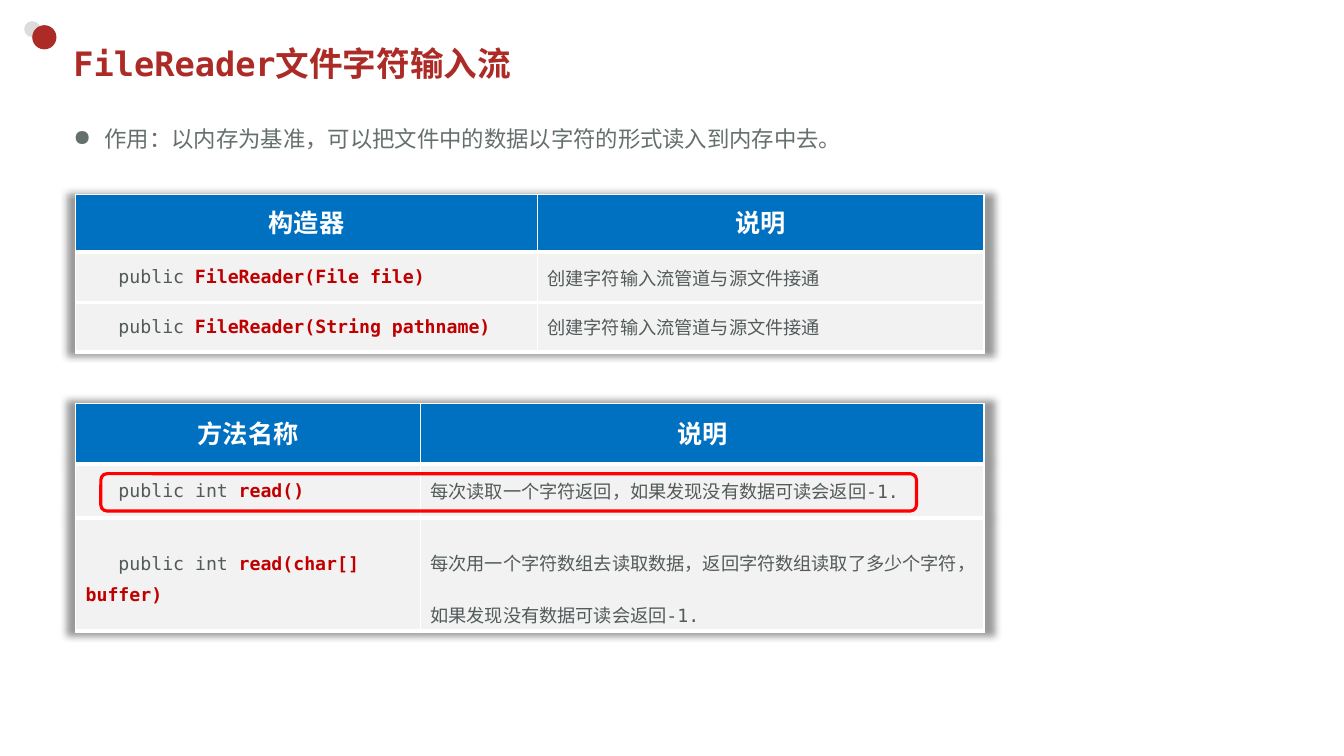
import pptx
import pptx.util
import pptx.dml.color
import pptx.enum.shapes
import pptx.enum.text
import pptx.oxml
import pptx.oxml.ns
import lxml.etree

Inches = pptx.util.Inches
Pt = pptx.util.Pt
SHAPE = pptx.enum.shapes.MSO_SHAPE
ALIGN = pptx.enum.text.PP_ALIGN
MIDDLE = pptx.enum.text.MSO_ANCHOR.MIDDLE
qn = pptx.oxml.ns.qn

CJK, MONO = "Noto Sans CJK JP", "DejaVu Sans Mono"
COLORS = {
    "white": "FFFFFF", "brand": "AD2B26", "dot": "DADDDC", "lead": "65706E",
    "header": "0070C0", "band": "F2F2F2", "body": "525B5A", "code": "C00000",
    "mark": "FF0000",
}


def rgb(name):
    """Return the palette colour with the given name."""
    return pptx.dml.color.RGBColor.from_string(COLORS[name])


def add_text(p, text, size=13, font=MONO, color="body", bold=False):
    """Append a formatted run to a paragraph."""
    r = p.add_run()
    r.text = text
    r.font.size, r.font.name, r.font.bold = Pt(size), font, bold
    r.font.color.rgb = rgb(color)
    lxml.etree.SubElement(r.font._element, qn("a:ea")).set("typeface", CJK)


def add_box(slide, x, y, w, h):
    """Add a wrapping text box and return its first paragraph."""
    tf = slide.shapes.add_textbox(Inches(x), Inches(y), Inches(w), Inches(h)).text_frame
    tf.word_wrap, tf.vertical_anchor = True, MIDDLE
    return tf.paragraphs[0]


def add_shape(slide, kind, x, y, w, h, fill=None, line=None):
    """Add a shape with an optional fill and outline and no shadow."""
    sp = slide.shapes.add_shape(kind, Inches(x), Inches(y), Inches(w), Inches(h))
    sp.shadow.inherit = False
    if fill:
        sp.fill.solid()
        sp.fill.fore_color.rgb = rgb(fill)
    else:
        sp.fill.background()
    if line:
        sp.line.color.rgb = rgb(line)
        sp.line.width = Pt(2.25)
    else:
        sp.line.fill.background()


def add_heading(slide, x, y, w, h):
    """Place the title with its two dots above and to the left."""
    add_shape(slide, SHAPE.OVAL, x - 0.39, y - 0.16, 0.16, 0.16, "dot")
    add_shape(slide, SHAPE.OVAL, x - 0.31, y - 0.12, 0.24, 0.24, "brand")
    p = add_box(slide, x, y, w, h)
    add_text(p, "FileReader文件字符输入流", 24, color="brand", bold=True)


def add_lead(slide, x, y, w, h):
    """Place the bulleted purpose statement."""
    p = add_box(slide, x, y, w, h)
    p.line_spacing = 2
    pPr = p._p.get_or_add_pPr()
    pPr.set("marL", str(Inches(0.31)))
    pPr.set("indent", str(-Inches(0.31)))
    lxml.etree.SubElement(pPr, qn("a:buChar")).set("char", "●")
    add_text(p, "作用：以内存为基准，可以把文件中的数据以字符的形式读入到内存中去。", 16, CJK, "lead")


def style_cell(cell, fill, top):
    """Give a cell its white borders, its fill and middle anchoring."""
    cell.vertical_anchor = MIDDLE
    tcPr = cell._tc.get_or_add_tcPr()
    for side, width in (("L", 1), ("R", 1), ("T", top), ("B", 3)):
        ln = lxml.etree.SubElement(tcPr, qn("a:ln" + side), w=str(Pt(width)))
        solid = lxml.etree.SubElement(ln, qn("a:solidFill"))
        lxml.etree.SubElement(solid, qn("a:srgbClr"), val=COLORS["white"])
    cell.fill.solid()
    cell.fill.fore_color.rgb = rgb(fill)


def add_table_shadow(table):
    """Add a soft shadow, slightly larger than the table, around it."""
    table._tbl.tblPr.insert(0, pptx.oxml.parse_xml(
        f'<a:effectLst {pptx.oxml.ns.nsdecls("a")}>'
        '<a:outerShdw blurRad="63500" sx="102000" sy="102000" algn="ctr" rotWithShape="0">'
        '<a:srgbClr val="000000"><a:alpha val="40000"/></a:srgbClr>'
        '</a:outerShdw></a:effectLst>'))


def add_api_table(slide, x, y, widths, heights, headers, rows):
    """Place a table of signatures and their explanations."""
    frame = slide.shapes.add_table(len(heights), len(widths), Inches(x), Inches(y),
                                   Inches(sum(widths)), Inches(sum(heights)))
    table = frame.table
    table.horz_banding = False
    add_table_shadow(table)
    for column, width in zip(table.columns, widths):
        column.width = Inches(width)
    for row, height in zip(table.rows, heights):
        row.height = Inches(height)
    for i, header in enumerate(headers):
        cell = table.cell(0, i)
        style_cell(cell, "header", 1)
        p = cell.text_frame.paragraphs[0]
        p.alignment, p.line_spacing = ALIGN.CENTER, Pt(24)
        add_text(p, header, 18, CJK, "white", True)
    for i, (prefix, name, note, spacings) in enumerate(rows, 1):
        for j, spacing in enumerate(spacings):
            cell = table.cell(i, j)
            style_cell(cell, "band", 3)
            p = cell.text_frame.paragraphs[0]
            p.line_spacing = spacing
            if j == 0:
                add_text(p, prefix)
                add_text(p, name, color="code", bold=True)
            else:
                add_text(p, note)


def main():
    """Build and save the slide."""
    prs = pptx.Presentation()
    prs.slide_width, prs.slide_height = Inches(13.33), Inches(7.5)
    slide = prs.slides.add_slide(prs.slide_layouts[6])
    add_lead(slide, 0.63, 0.96, 8.86, 0.57)
    add_heading(slide, 0.63, 0.37, 11.75, 0.52)
    single = (1, 1)
    opened = "创建字符输入流管道与源文件接通"
    add_api_table(slide, 0.75, 1.93, (4.58, 4.43), (0.57, 0.5, 0.49), ("构造器", "说明"), [
        ("   public ", "FileReader(File file)", opened, single),
        ("   public ", "FileReader(String pathname)", opened, single),
    ])
    add_api_table(slide, 0.75, 4, (3.42, 5.59), (0.6, 0.54, 1.12), ("方法名称", "说明"), [
        ("   public int ", "read()",
         "每次读取一个字符返回，如果发现没有数据可读会返回-1.", single),
        ("   public int ", "read(char[] buffer)",
         "每次用一个字符数组去读取数据，返回字符数组读取了多少个字符，如果发现没有数据可读会返回-1.",
         (1.5, 2)),
    ])
    add_shape(slide, SHAPE.ROUNDED_RECTANGLE, 1, 4.7, 8.09, 0.37, line="mark")
    prs.save("out.pptx")


if __name__ == "__main__":
    main()
